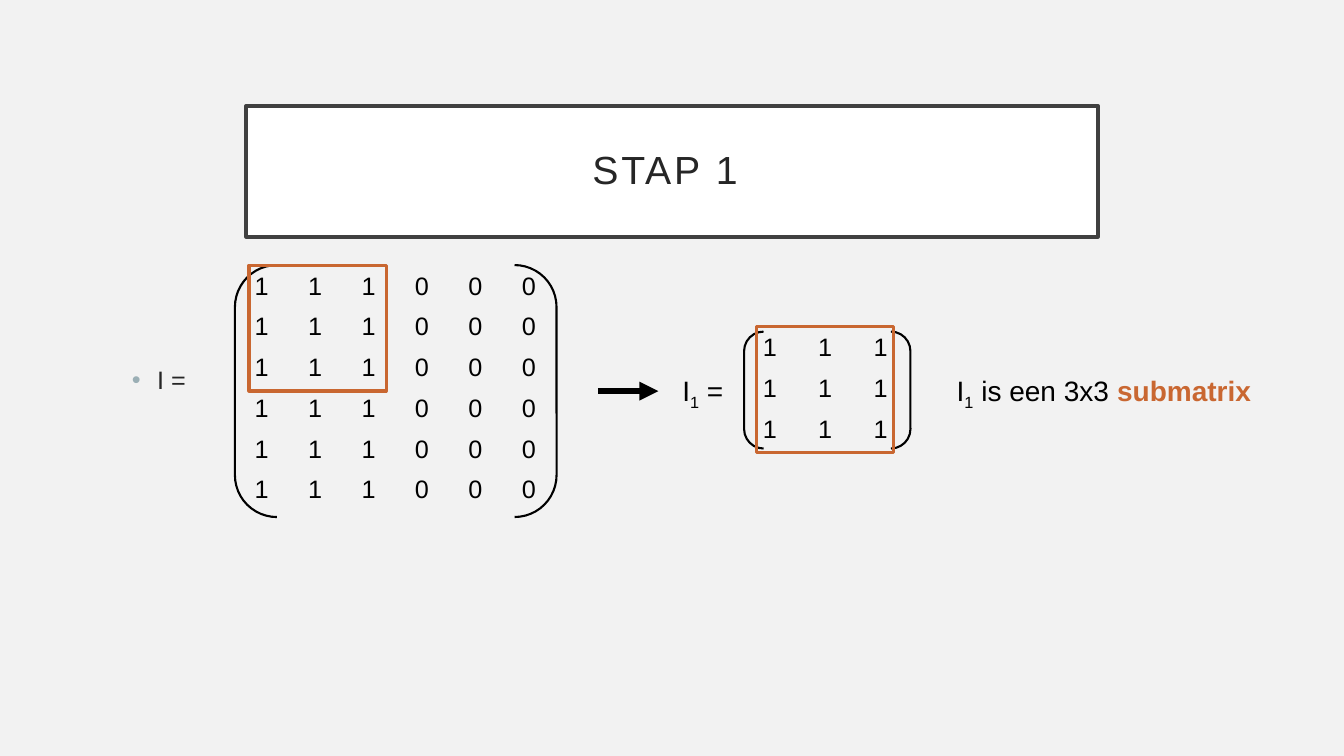
"""Builds the slide "Stap 1": a matrix and its 3x3 submatrix."""
from lxml import etree
from pptx import Presentation
from pptx.dml.color import RGBColor
from pptx.enum.shapes import MSO_CONNECTOR, MSO_SHAPE
from pptx.enum.text import MSO_ANCHOR, PP_ALIGN
from pptx.oxml.ns import qn
from pptx.util import Inches, Pt

CENTER, LEFT = PP_ALIGN.CENTER, PP_ALIGN.LEFT
MIDDLE, TOP = MSO_ANCHOR.MIDDLE, MSO_ANCHOR.TOP
RECT, BRACKETS = MSO_SHAPE.RECTANGLE, MSO_SHAPE.DOUBLE_BRACKET
STRAIGHT = MSO_CONNECTOR.STRAIGHT

FONT = "Arial"
COLORS = {"bg": "F2F2F2", "white": "FFFFFF", "border": "404040", "title": "262626",
          "bullet": "9BAFB5", "black": "000000", "accent": "C96731"}
NO_GRID_STYLE = "{2D5ABB26-0587-4C30-8999-92F81FD0307C}"
ROW_HEIGHT = 0.405

TITLE = "STAP 1 "
MATRICES = [
    {"rows": ["111000"] * 6, "at": (2.33, 2.65), "col": 0.53,
     "brackets": (2.33, 2.63, 3.19, 2.5), "frame": (2.47, 2.63)},
    {"rows": ["111"] * 3, "at": (7.36, 3.26), "col": 0.55,
     "brackets": (7.38, 3.29, 1.65, 1.16), "frame": (7.5, 3.24)},
]
FRAME_SIZE = (1.36, 1.25)
ARROW = (5.93, 3.88, 6.53, 3.88)
MATRIX_LABEL = ((1.21, 3.57, 1, 0.4), [("I =", "")])
LABELS = [
    ((6.67, 3.66, 0.9, 0.42), [("I", ""), ("1", "sub"), (" =", "")]),
    ((9.39, 3.66, 3.65, 0.42), [("I", ""), ("1", "sub"), (" is een 3x3 ", ""),
                                ("submatrix", "accent")]),
]


def rgb(name):
    return RGBColor.from_string(COLORS[name])


def inches(values):
    return [Inches(v) for v in values]


def style_run(r, size, color="black"):
    r.font.name, r.font.size = FONT, Pt(size)
    r.font.color.rgb = rgb(color)


def add_title(s):
    title = s.shapes.title
    title.left, title.top, title.width, title.height = inches((2.44, 1.05, 8.45, 1.3))
    title.fill.solid()
    title.fill.fore_color.rgb = rgb("white")
    title.line.color.rgb, title.line.width = rgb("border"), Pt(2.5)
    tf = title.text_frame
    tf.text, tf.word_wrap, tf.vertical_anchor = TITLE, True, MIDDLE
    tf.margin_left = tf.margin_right = tf.margin_top = tf.margin_bottom = Inches(0.2)
    p = tf.paragraphs[0]
    p.alignment, p.line_spacing = CENTER, 0.9
    style_run(p.runs[0], 28, "title")
    p.runs[0].font._element.set("spc", "200")


def add_label(s, at, parts, size, color="black"):
    tf = s.shapes.add_textbox(*inches(at)).text_frame
    tf.word_wrap = True
    p = tf.paragraphs[0]
    p.alignment = LEFT
    for text, kind in parts:
        r = p.add_run()
        r.text = text
        style_run(r, size, "accent" if kind == "accent" else color)
        if kind == "accent":
            r.font.bold = True
        if kind == "sub":
            r.font._element.set("baseline", "-25000")
    return p


def add_bullet(p):
    pPr = p._p.get_or_add_pPr()
    pPr.set("marL", str(Inches(0.25)))
    pPr.set("indent", str(-Inches(0.25)))
    color = etree.SubElement(pPr, qn("a:buClr"))
    etree.SubElement(color, qn("a:srgbClr"), val=COLORS["bullet"])
    etree.SubElement(pPr, qn("a:buFont"), typeface=FONT)
    etree.SubElement(pPr, qn("a:buChar"), char="•")


def add_outline(s, shape, at, color, width):
    sp = s.shapes.add_shape(shape, *inches(at))
    sp.shadow.inherit = False
    sp.fill.background()
    sp.line.color.rgb, sp.line.width = rgb(color), Pt(width)


def add_matrix(s, rows, at, col, brackets, frame):
    n_rows, n_cols = len(rows), len(rows[0])
    size = (n_cols * col, n_rows * ROW_HEIGHT)
    table = s.shapes.add_table(n_rows, n_cols, *inches(at + size)).table
    table.first_row = table.horz_banding = False
    table._tbl.tblPr.find(qn("a:tableStyleId")).text = NO_GRID_STYLE
    for i, row in enumerate(rows):
        for j, digit in enumerate(row):
            cell = table.cell(i, j)
            cell.fill.background()
            cell.text, cell.vertical_anchor = digit, TOP
            p = cell.text_frame.paragraphs[0]
            p.alignment = CENTER
            style_run(p.runs[0], 18)
    add_outline(s, BRACKETS, brackets, "black", 1.5)
    add_outline(s, RECT, frame + FRAME_SIZE, "accent", 2.25)


def add_arrow(s):
    arrow = s.shapes.add_connector(STRAIGHT, *inches(ARROW))
    arrow.line.color.rgb, arrow.line.width = rgb("black"), Pt(4.5)
    etree.SubElement(arrow.line._get_or_add_ln(), qn("a:tailEnd"), type="triangle")
    etree.SubElement(arrow._element.spPr, qn("a:effectLst"))


def main():
    prs = Presentation()
    prs.slide_width, prs.slide_height = inches((13.33, 7.5))
    s = prs.slides.add_slide(prs.slide_layouts[5])
    s.background.fill.solid()
    s.background.fill.fore_color.rgb = rgb("bg")
    add_title(s)
    add_bullet(add_label(s, *MATRIX_LABEL, 18, "title"))
    for matrix in MATRICES:
        add_matrix(s, **matrix)
    add_arrow(s)
    for at, parts in LABELS:
        add_label(s, at, parts, 20)
    prs.save("out.pptx")


if __name__ == "__main__":
    main()
